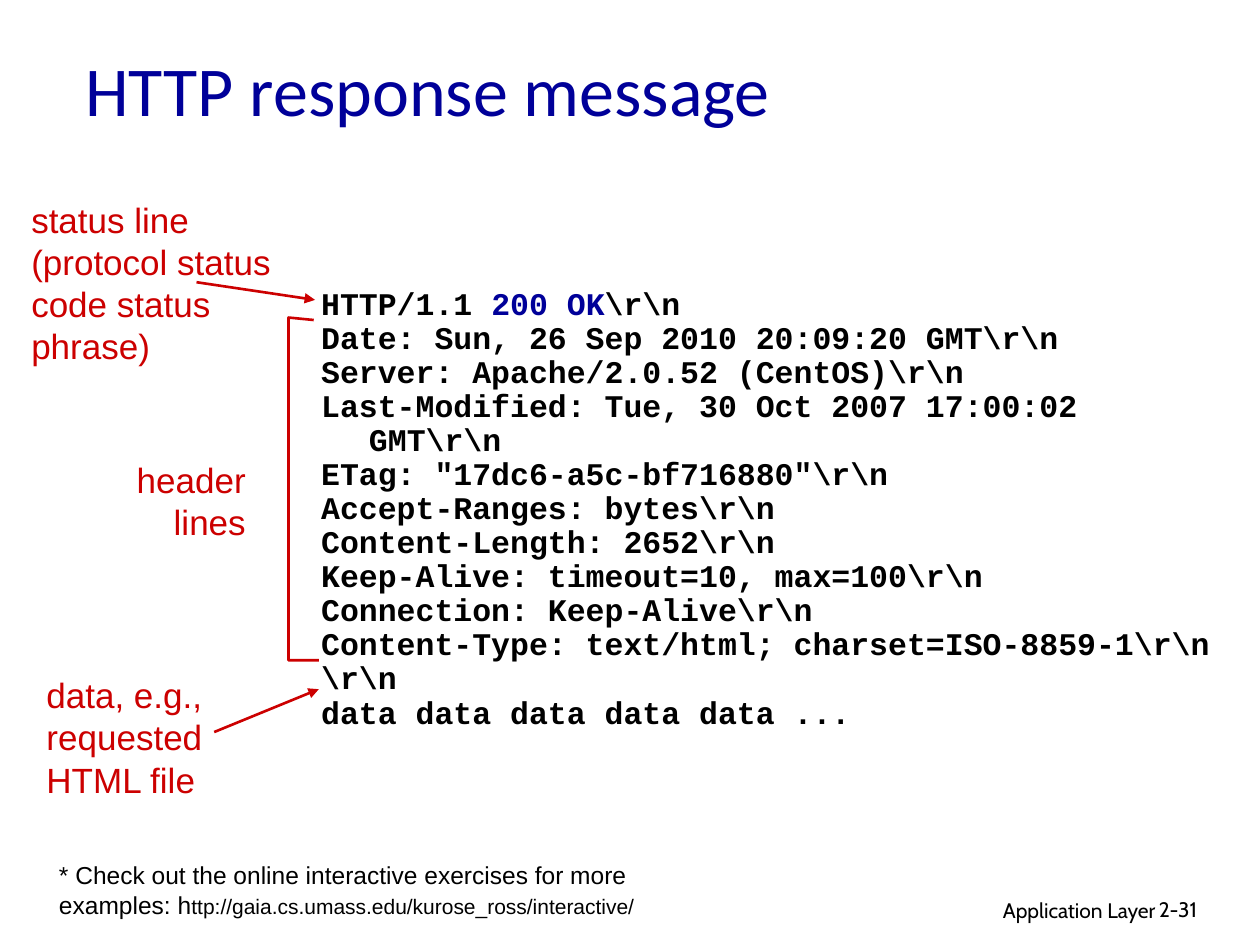
from lxml.etree import SubElement
from pptx import Presentation
from pptx.dml.color import RGBColor
from pptx.enum.shapes import MSO_CONNECTOR
from pptx.enum.text import MSO_ANCHOR, PP_ALIGN
from pptx.oxml.ns import qn
from pptx.util import Inches, Pt

RED, BLUE, BLACK = "CC0000", "000099", "000000"

RESPONSE = [
    [("HTTP/1.1 ", {}), ("200 OK", {"color": BLUE}), (r"\r\n", {})],
    r"Date: Sun, 26 Sep 2010 20:09:20 GMT\r\n",
    r"Server: Apache/2.0.52 (CentOS)\r\n",
    r"Last-Modified: Tue, 30 Oct 2007 17:00:02 GMT\r\n",
    r'ETag: "17dc6-a5c-bf716880"\r\n',
    r"Accept-Ranges: bytes\r\n",
    r"Content-Length: 2652\r\n",
    r"Keep-Alive: timeout=10, max=100\r\n",
    r"Connection: Keep-Alive\r\n",
    r"Content-Type: text/html; charset=ISO-8859-1\r\n",
    r"\r\n",
    "data data data data data ...",
]


def rgb(color):
    return RGBColor.from_string(color)


def add_run(p, text, size, font, color, bold=False):
    r = p.add_run()
    r.text = text
    r.font.size = Pt(size)
    r.font.name = font
    r.font.bold = bold
    r.font.color.rgb = rgb(color)


def add_text(s, paragraphs, left, top, width, height, *, align=PP_ALIGN.LEFT,
             anchor=MSO_ANCHOR.TOP, wrap=True, spacing=None, hanging=0, **style):
    """Each paragraph is a string or a list of (text, style changes)."""
    box = s.shapes.add_textbox(Inches(left), Inches(top), Inches(width), Inches(height))
    tf = box.text_frame
    tf.word_wrap = wrap
    tf.vertical_anchor = anchor
    for i, runs in enumerate(paragraphs):
        p = tf.add_paragraph() if i else tf.paragraphs[0]
        p.alignment = align
        if spacing:
            p.line_spacing = spacing
        if hanging:
            pPr = p._p.get_or_add_pPr()
            pPr.set("marL", str(Inches(hanging)))
            pPr.set("indent", str(-Inches(hanging)))
        for text, changes in [(runs, {})] if isinstance(runs, str) else runs:
            add_run(p, text, **{**style, **changes})


def add_arrow(s, start, end):
    line = s.shapes.add_connector(MSO_CONNECTOR.STRAIGHT,
                                  *[Inches(v) for v in (*start, *end)])
    line.line.color.rgb = rgb(RED)
    line.line.width = Pt(1.5)
    SubElement(line.line._get_or_add_ln(), qn("a:tailEnd"), type="triangle")
    SubElement(line._element.spPr, qn("a:effectLst"))


def add_bracket(s, points):
    start, *rest = [(Inches(x), Inches(y)) for x, y in points]
    builder = s.shapes.build_freeform(*start)
    builder.add_line_segments(rest, close=False)
    sp = builder.convert_to_shape()
    sp.shadow.inherit = False
    sp.fill.background()
    sp.line.color.rgb = rgb(RED)
    sp.line.width = Pt(1.5)


def main():
    prs = Presentation()
    prs.slide_width, prs.slide_height = Inches(10), Inches(7.5)
    s = prs.slides.add_slide(prs.slide_layouts[6])

    # Footer and title
    footer = {"size": 12, "font": "Cabin", "color": BLACK}
    add_text(s, ["Application Layer"], 6.1, 7.07, 3.17, 0.31,
             align=PP_ALIGN.RIGHT, **footer)
    add_text(s, ["2-31"], 9.1, 7.07, 0.74, 0.3, **footer)
    add_text(s, ["HTTP response message"], 0.58, 0.17, 8.5, 1.07,
             anchor=MSO_ANCHOR.MIDDLE, size=40, font="Calibri", color=BLUE)

    # Labels with their arrows and bracket
    label = {"size": 20, "font": "Arial", "color": RED}
    add_text(s, ["status line", "(protocol status code status phrase)"],
             0.15, 1.53, 2.14, 1.43, **label)
    add_arrow(s, (1.56, 2.24), (2.5, 2.38))
    add_bracket(s, [(2.49, 2.54), (2.29, 2.52), (2.29, 5.24), (2.53, 5.24)])
    add_text(s, ["header", "lines"], 0.98, 3.59, 1.07, 0.77,
             align=PP_ALIGN.RIGHT, wrap=False, **label)
    add_arrow(s, (1.7, 5.81), (2.53, 5.47))
    add_text(s, ["data, e.g.,", "requested", "HTML file"], 0.27, 5.3, 1.51, 1.1,
             wrap=False, **label)

    # Response message
    add_text(s, RESPONSE, 2.45, 2.24, 7.39, 3.37, spacing=0.9, hanging=0.38,
             size=18, font="Courier New", color=BLACK, bold=True)

    # Footnote
    note = [("* Check out the online interactive exercises for more examples: h", {}),
            ("ttp://gaia.cs.umass.edu/kurose_ross/interactive/", {"size": 12})]
    add_text(s, [note], 0.37, 6.78, 4.93, 0.57, size=14, font="Arial", color=BLACK)

    prs.save("out.pptx")


if __name__ == "__main__":
    main()
